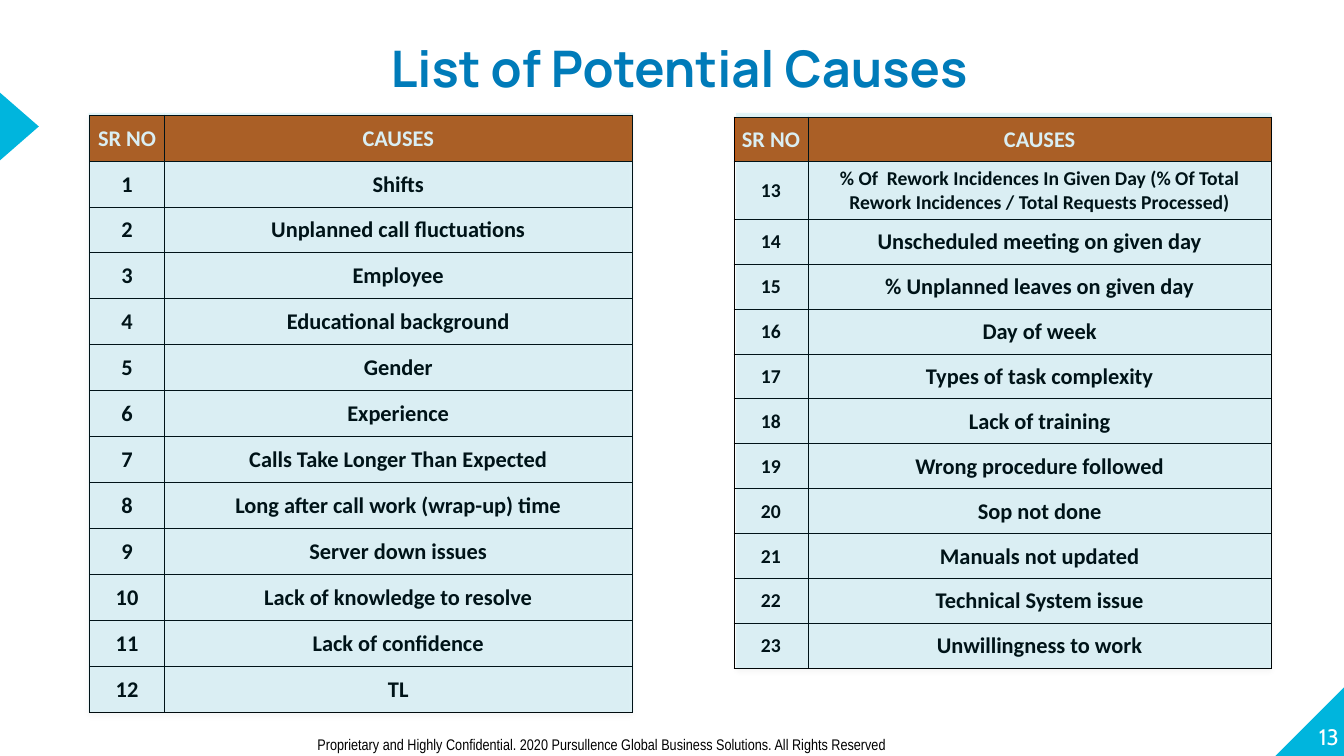
from lxml.etree import SubElement
from pptx import Presentation
from pptx.dml.color import RGBColor
from pptx.enum.shapes import MSO_SHAPE
from pptx.enum.text import MSO_ANCHOR, MSO_AUTO_SIZE, PP_ALIGN
from pptx.oxml import parse_xml
from pptx.oxml.ns import nsdecls, qn
from pptx.util import Inches, Pt

WIDTH, HEIGHT = 13.33, 7.5
COLORS = {"accent": "00B5DD", "title": "007BB9", "header": "C65911",
          "white": "FFFFFF", "black": "000000"}

LEFT_CAUSES = [
    "Shifts", "Unplanned call fluctuations", "Employee",
    "Educational background", "Gender", "Experience",
    "Calls Take Longer Than Expected", "Long after call work (wrap-up) time",
    "Server down issues", "Lack of knowledge to resolve",
    "Lack of confidence", "TL",
]
RIGHT_CAUSES = [
    "% Of  Rework Incidences In Given Day (% Of Total Rework Incidences"
    " / Total Requests Processed)",
    "Unscheduled meeting on given day", "% Unplanned leaves on given day",
    "Day of week", "Types of task complexity", "Lack of training",
    "Wrong procedure followed", "Sop not done", "Manuals not updated",
    "Technical System issue", "Unwillingness to work",
]


def color(name):
    return RGBColor.from_string(COLORS[name])


def inches(box):
    return [Inches(length) for length in box]


def write(frame, text, size, font, ink, align, bold=False):
    paragraph = frame.paragraphs[0]
    paragraph.text = text
    paragraph.alignment = align
    paragraph.font.size = Pt(size)
    paragraph.font.name = font
    paragraph.font.bold = bold
    paragraph.font.color.rgb = color(ink)
    return paragraph


def clear_margins(frame):
    frame.margin_left = frame.margin_right = 0
    frame.margin_top = frame.margin_bottom = 0


def add_plain_shape(slide, kind, box):
    shape = slide.shapes.add_shape(kind, *inches(box))
    shape.shadow.inherit = False
    shape.fill.solid()
    shape.fill.fore_color.rgb = color("accent")
    shape.line.fill.background()
    return shape


def add_decoration(slide):
    # Corner triangle and left marker
    side = 0.68
    corner = add_plain_shape(slide, MSO_SHAPE.RIGHT_TRIANGLE,
                             (WIDTH - side, HEIGHT - side, side, side))
    corner._element.spPr.find(qn("a:xfrm")).set("flipH", "1")
    marker = add_plain_shape(slide, MSO_SHAPE.ISOSCELES_TRIANGLE,
                             (-0.15, 1.06, side, 0.39))
    marker.rotation = 90


def add_title(slide, box):
    title = slide.shapes.title
    title.left, title.top, title.width, title.height = inches(box)
    frame = title.text_frame
    frame.word_wrap = True
    frame.auto_size = MSO_AUTO_SIZE.NONE
    frame.vertical_anchor = MSO_ANCHOR.TOP
    clear_margins(frame)
    paragraph = write(frame, "List of Potential Causes", 36, "Manrope",
                      "title", PP_ALIGN.CENTER, True)
    paragraph.line_spacing = 1.5


def add_footer(slide, footer_box, number_box):
    # Copyright line
    frame = slide.shapes.add_textbox(*inches(footer_box)).text_frame
    frame.word_wrap = True
    write(frame, "Proprietary and Highly Confidential. 2020 Pursullence Global "
          "Business Solutions. All Rights Reserved",
          11, "Arial Narrow", "black", PP_ALIGN.LEFT)
    # Page number
    frame = slide.shapes.add_textbox(*inches(number_box)).text_frame
    frame.word_wrap = True
    frame.vertical_anchor = MSO_ANCHOR.BOTTOM
    clear_margins(frame)
    write(frame, "13", 16, "Cabin", "white", PP_ALIGN.RIGHT)


def add_borders(cell):
    properties = cell._tc.get_or_add_tcPr()
    for index, side in enumerate(("lnL", "lnR", "lnT", "lnB")):
        properties.insert(index, parse_xml(
            f'<a:{side} {nsdecls("a")} w="{Pt(0.5)}"><a:solidFill>'
            f'<a:srgbClr val="{COLORS["black"]}"/></a:solidFill></a:{side}>'))


def fill_cell(cell, text, size, is_header):
    cell.margin_left = cell.margin_right = cell.margin_top = Inches(0.01)
    cell.margin_bottom = 0
    cell.vertical_anchor = MSO_ANCHOR.MIDDLE
    if is_header:
        cell.fill.solid()
        cell.fill.fore_color.rgb = color("header")
    else:
        cell.fill.background()
    write(cell.text_frame, text, size, "Calibri",
          "white" if is_header else "black", PP_ALIGN.CENTER, True)
    add_borders(cell)


def add_causes_table(slide, box, causes, first_number, number_size, tall_rows):
    """tall_rows maps a row index to its height; the others share the rest."""
    left, top, width, height = box
    rows = [("SR NO", "CAUSES")]
    rows += [(str(number), cause)
             for number, cause in enumerate(causes, first_number)]
    table = slide.shapes.add_table(len(rows), 2, *inches(box)).table
    table.horz_banding = table.first_row = False
    number_width = width * 0.1375
    table.columns[0].width = Inches(number_width)
    table.columns[1].width = Inches(width - number_width)
    row_height = (height - sum(tall_rows.values())) / (len(rows) - len(tall_rows))
    for index, (number, cause) in enumerate(rows):
        table.rows[index].height = Inches(tall_rows.get(index, row_height))
        is_header = index == 0
        fill_cell(table.cell(index, 0), number,
                  16 if is_header else number_size, is_header)
        fill_cell(table.cell(index, 1), cause,
                  14 if index in tall_rows else 16, is_header)


def add_tint(slide, box):
    # Translucent panel with a soft shadow over a table
    panel = add_plain_shape(slide, MSO_SHAPE.RECTANGLE, box)
    properties = panel._element.spPr
    tint = properties.find(qn("a:solidFill")).find(qn("a:srgbClr"))
    SubElement(tint, qn("a:alpha")).set("val", "11000")
    properties.find(qn("a:effectLst")).append(parse_xml(
        f'<a:outerShdw {nsdecls("a")} blurRad="{Pt(3.5)}" dist="{Pt(2.2)}" '
        f'dir="5400000" rotWithShape="0"><a:srgbClr val="{COLORS["black"]}">'
        '<a:alpha val="32000"/></a:srgbClr></a:outerShdw>'))


def build_causes_slide(presentation):
    slide = presentation.slides.add_slide(presentation.slide_layouts[5])
    add_decoration(slide)
    add_title(slide, (1.88, 0.07, 9.71, 0.76))
    add_footer(slide, (3.05, 7.24, 8.51, 0.29), (12.61, 6.76, 0.67, 0.68))
    add_causes_table(slide, (0.89, 1.14, 5.38, 5.93), LEFT_CAUSES, 1, 16, {})
    add_causes_table(slide, (7.28, 1.16, 5.33, 5.47), RIGHT_CAUSES,
                     len(LEFT_CAUSES) + 1, 14, {1: 0.57})
    add_tint(slide, (0.88, 1.12, 5.4, 5.95))
    add_tint(slide, (7.3, 1.12, 5.31, 5.51))


def main():
    presentation = Presentation()
    presentation.slide_width = Inches(WIDTH)
    presentation.slide_height = Inches(HEIGHT)
    build_causes_slide(presentation)
    presentation.save("out.pptx")


if __name__ == "__main__":
    main()
